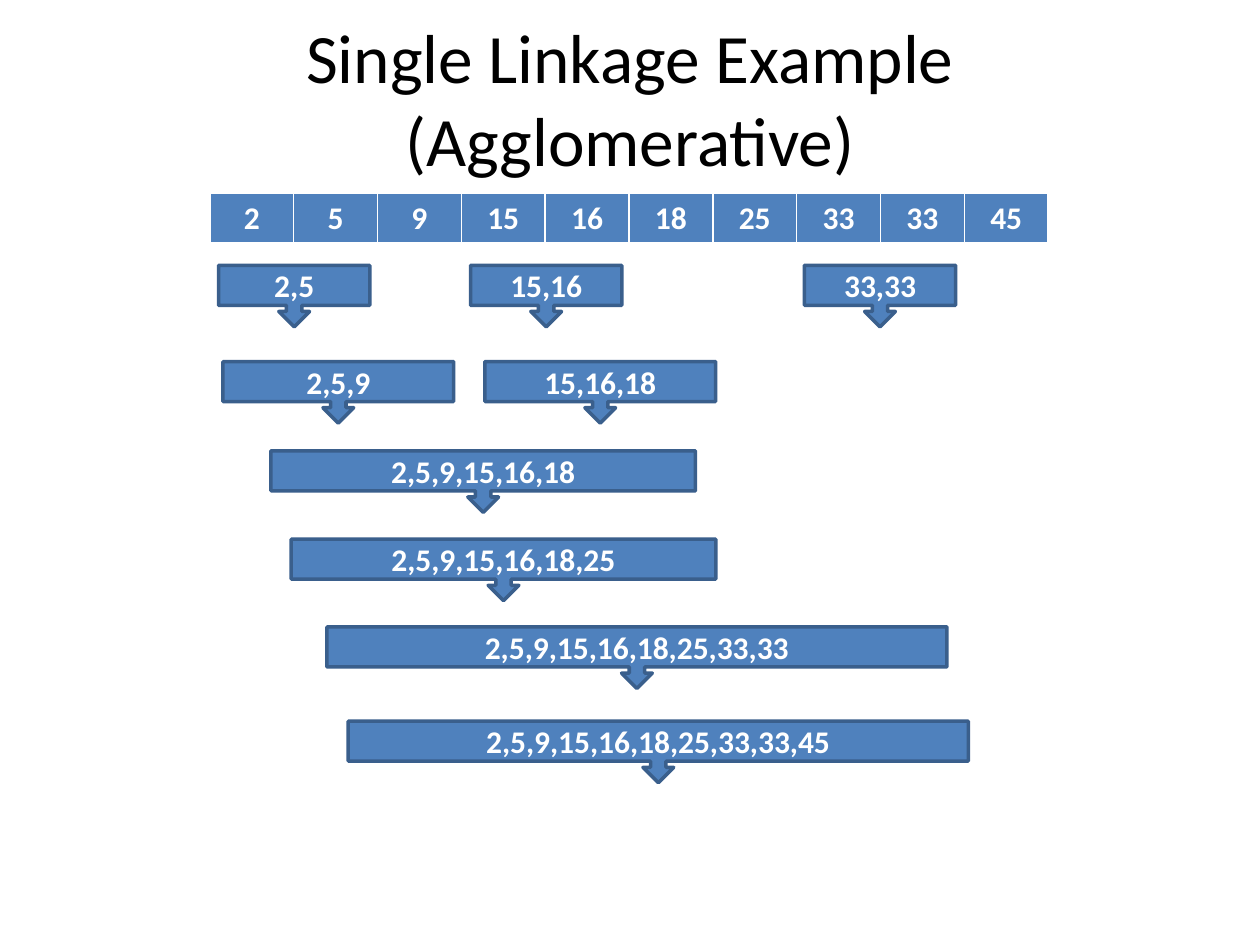
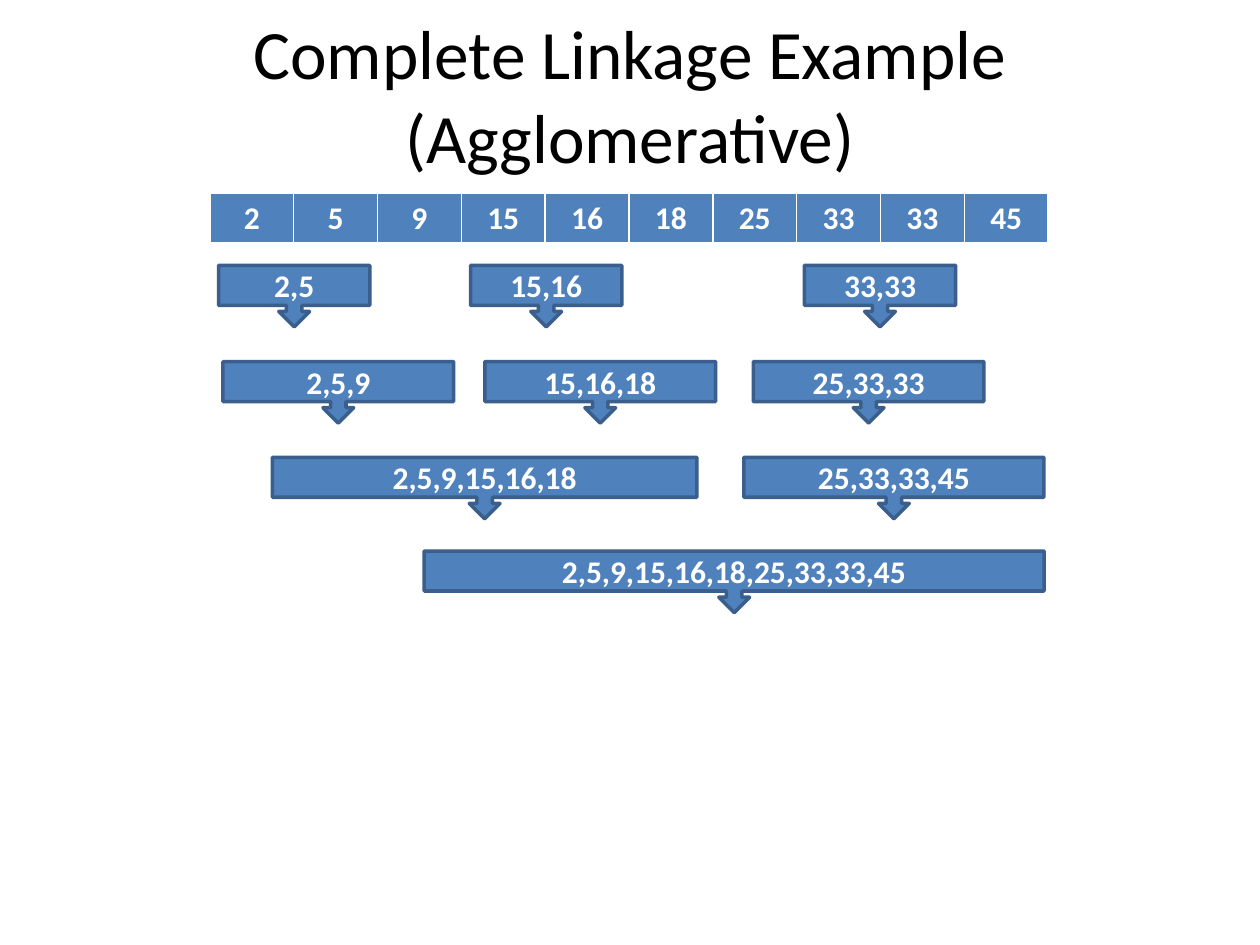
import pptx
import pptx.util
import pptx.dml.color
import pptx.enum.shapes
import pptx.enum.text
import lxml.etree
from pptx.util import Cm

FONT = "Calibri"
BLUE = "4F81BD"
OUTLINE = "3A5F8C"
WHITE = "FFFFFF"
BLACK = "000000"
DRAWING = "http://schemas.openxmlformats.org/drawingml/2006/main"

VALUES = [2, 5, 9, 15, 16, 18, 25, 33, 33, 45]
COLUMN_WIDTH = 1.69
CALLOUT_DEPTH = 1.24
PAIR, TRIPLE, QUAD, MEDIUM, WIDE = 3.05, 4.65, 6.05, 8.56, 12.5

pairs = (5.35, [(17.74, PAIR, "33,33"), (11.01, PAIR, "15,16"), (5.93, PAIR, "2,5")])
triples = [(6.82, TRIPLE, "2,5,9"), (12.1, TRIPLE, "15,16,18")]

examples = [
    ("Single Linkage Example (Agglomerative)", 0.38, [
        pairs,
        (7.29, triples),
        (9.09, [(9.74, MEDIUM, "2,5,9,15,16,18")]),
        (10.87, [(10.15, MEDIUM, "2,5,9,15,16,18,25")]),
        (12.64, [(12.84, WIDE, "2,5,9,15,16,18,25,33,33")]),
        (14.54, [(13.27, WIDE, "2,5,9,15,16,18,25,33,33,45")]),
    ]),
    ("Complete Linkage Example (Agglomerative)", 0.3, [
        pairs,
        (7.29, triples + [(17.51, TRIPLE, "25,33,33")]),
        (9.22, [(9.77, MEDIUM, "2,5,9,15,16,18"), (18.02, QUAD, "25,33,33,45")]),
        (11.11, [(14.8, WIDE, "2,5,9,15,16,18,25,33,33,45")]),
    ]),
]


def color(value):
    return pptx.dml.color.RGBColor.from_string(value)


def write(frame, text, size, text_color, bold):
    frame.word_wrap = True
    frame.vertical_anchor = pptx.enum.text.MSO_ANCHOR.MIDDLE
    para = frame.paragraphs[0]
    para.text = text
    para.alignment = pptx.enum.text.PP_ALIGN.CENTER
    para.font.name = FONT
    para.font.size = pptx.util.Pt(size)
    para.font.bold = bold
    para.font.color.rgb = color(text_color)


deck = pptx.Presentation()
deck.slide_width = Cm(25.4)
deck.slide_height = Cm(19.05)

for title, title_top, levels in examples:
    page = deck.slides.add_slide(deck.slide_layouts[6])

    title_box = page.shapes.add_textbox(Cm(1.27), Cm(title_top), Cm(22.86), Cm(3.18))
    write(title_box.text_frame, title, 39.6, BLACK, False)
    title_box.text_frame.margin_left = Cm(0.5)
    title_box.text_frame.margin_right = Cm(0.5)

    table_frame = page.shapes.add_table(
        1, len(VALUES), Cm(4.23), Cm(3.89), Cm(COLUMN_WIDTH * len(VALUES)), Cm(1.03))
    for column, value in zip(table_frame.table.columns, VALUES):
        column.width = Cm(COLUMN_WIDTH)
    for cell, value in zip(table_frame.table.iter_cells(), VALUES):
        write(cell.text_frame, str(value), 18, WHITE, True)
        cell.vertical_anchor = pptx.enum.text.MSO_ANCHOR.TOP
        cell.fill.solid()
        cell.fill.fore_color.rgb = color(BLUE)
        properties = cell._tc.get_or_add_tcPr()
        for position, (side, points) in enumerate([("L", 1), ("R", 1), ("T", 1), ("B", 3)]):
            border = lxml.etree.Element(f"{{{DRAWING}}}ln{side}", w=str(pptx.util.Pt(points)))
            border_fill = lxml.etree.SubElement(border, f"{{{DRAWING}}}solidFill")
            lxml.etree.SubElement(border_fill, f"{{{DRAWING}}}srgbClr", val=WHITE)
            properties.insert(position, border)

    for level_top, clusters in levels:
        for center, width, members in clusters:
            callout = page.shapes.add_shape(
                pptx.enum.shapes.MSO_SHAPE.RIGHT_ARROW_CALLOUT,
                Cm(center - CALLOUT_DEPTH / 2), Cm(level_top + (CALLOUT_DEPTH - width) / 2),
                Cm(CALLOUT_DEPTH), Cm(width))
            callout.rotation = 90
            callout.shadow.inherit = False
            callout.fill.solid()
            callout.fill.fore_color.rgb = color(BLUE)
            callout.line.color.rgb = color(OUTLINE)
            callout.line.width = pptx.util.Pt(2)
            write(callout.text_frame, members, 18, WHITE, True)
            callout.text_frame._txBody.bodyPr.set("vert", "vert270")

deck.save("out.pptx")
